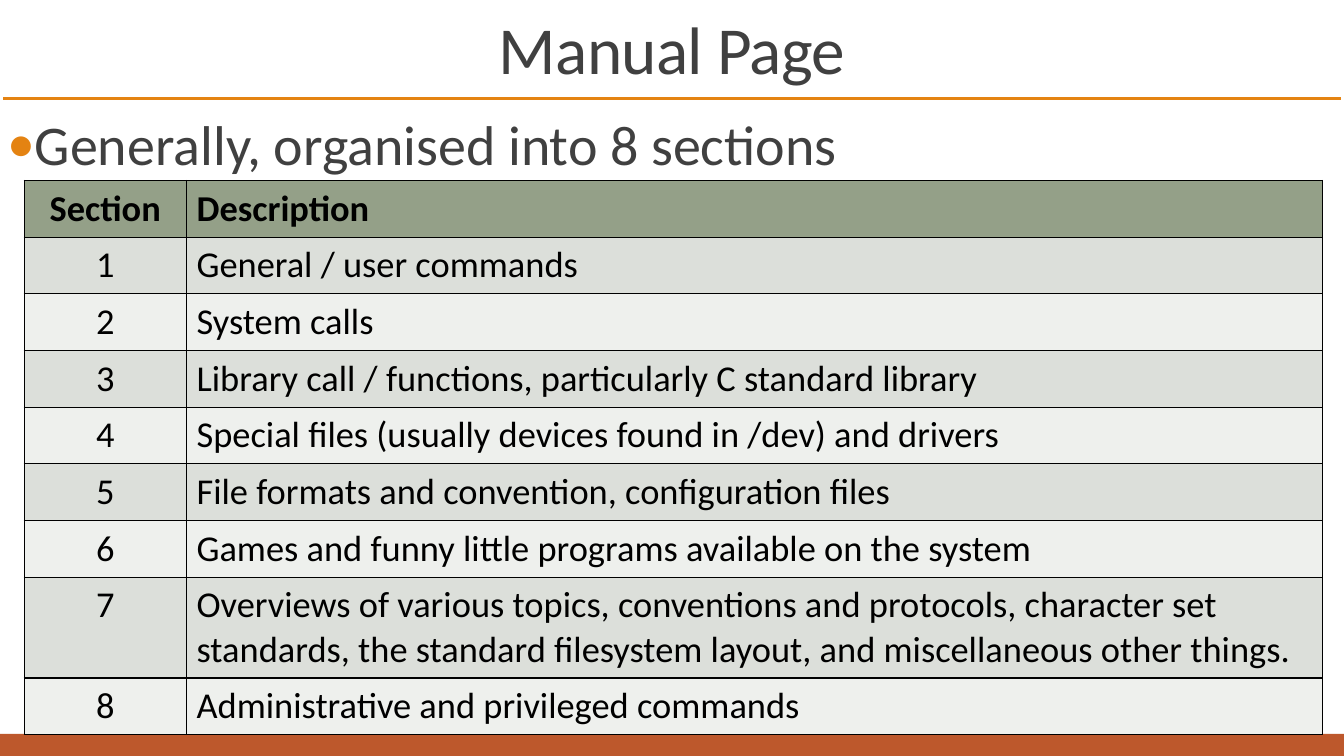
from lxml import etree
from pptx import Presentation, util as u
from pptx.dml.color import RGBColor
from pptx.enum import shapes, text
from pptx.oxml.ns import qn

WIDE, HIGH = 13.33, 7.5
INK, AMBER, RUST, BLACK = "404040", "E48312", "BD582C", "000000"
HEAD, BANDS = "94A088", ("DCDFDA", "EEF0ED")
ROWS = [
    ("Section", "Description"),
    ("1", "General / user commands"),
    ("2", "System calls"),
    ("3", "Library call / functions, particularly C standard library"),
    ("4", "Special files (usually devices found in /dev) and drivers"),
    ("5", "File formats and convention, configuration files"),
    ("6", "Games and funny little programs available on the system"),
    ("7", "Overviews of various topics, conventions and protocols, character set "
          "standards, the standard filesystem layout, and miscellaneous other things."),
    ("8", "Administrative and privileged commands"),
]


def color(code):
    return RGBColor.from_string(code)


def inches(*sizes):
    return [u.Inches(size) for size in sizes]


def sub(node, tag, **attrs):
    return etree.SubElement(node, qn(tag), attrs)


def write(frame, words, size, ink=INK, bold=False, center=False, bullet=None,
          line=None, track=None):
    para = frame.paragraphs[0]
    if bullet:
        props = para._p.get_or_add_pPr()
        props.set("marL", str(u.Inches(0.25)))
        props.set("indent", str(-u.Inches(0.25)))
        sub(sub(props, "a:buClr"), "a:srgbClr", val=bullet)
        sub(props, "a:buFont", typeface="Calibri")
        sub(props, "a:buChar", char="•")
    para.alignment = text.PP_ALIGN.CENTER if center else text.PP_ALIGN.LEFT
    if line:
        para.line_spacing = line
    run = para.add_run()
    run.text = words
    font = run.font
    font.name, font.size, font.bold = "Calibri", u.Pt(size), bold
    font.color.rgb = color(ink)
    if track:
        run._r.get_or_add_rPr().set("spc", str(int(track * 100)))


def label(slide, box, words, size, side=0.1, anchor="TOP", **style):
    frame = slide.shapes.add_textbox(*inches(*box)).text_frame
    frame.word_wrap = True
    frame.margin_left = frame.margin_right = u.Inches(side)
    frame.vertical_anchor = text.MSO_ANCHOR[anchor]
    write(frame, words, size, **style)


def footer(slide, box):
    bar = slide.shapes.add_shape(shapes.MSO_SHAPE.RECTANGLE, *inches(*box))
    bar.shadow.inherit = False
    bar.fill.solid()
    bar.fill.fore_color.rgb = color(RUST)
    bar.line.fill.background()


def header(slide, box):
    left, top, width, height = box
    label(slide, (left, top, width, height - 0.06), "Manual Page", 48,
          anchor="BOTTOM", center=True, line=0.85, track=-0.5)
    base = top + height
    rule = slide.shapes.add_connector(
        shapes.MSO_CONNECTOR.STRAIGHT, *inches(left, base, left + width, base))
    rule.line.color.rgb = color(AMBER)
    rule.line.width = u.Pt(2.25)
    sub(rule._element.spPr, "a:effectLst")


def border(cell):
    props = cell._tc.get_or_add_tcPr()
    for tag in ("a:lnL", "a:lnR", "a:lnT", "a:lnB"):
        edge = sub(props, tag, w=str(u.Pt(1)))
        sub(sub(edge, "a:solidFill"), "a:srgbClr", val=BLACK)


def sections(slide, box):
    left, top, width, height = box
    grid = slide.shapes.add_table(len(ROWS), 2, *inches(*box)).table
    first = width / 8
    for col, size in zip(grid.columns, (first, width - first)):
        col.width = u.Inches(size)
    # The long entry takes two lines; the others share what is left
    tall = 1.0
    short = (height - tall) / (len(ROWS) - 1)
    for r, row in enumerate(ROWS):
        grid.rows[r].height = u.Inches(tall if len(row[1]) > 80 else short)
        for c, words in enumerate(row):
            cell = grid.cell(r, c)
            cell.margin_left = cell.margin_right = u.Inches(0.1)
            cell.margin_top = cell.margin_bottom = u.Inches(0.06)
            border(cell)
            cell.fill.solid()
            cell.fill.fore_color.rgb = color(BANDS[(r - 1) % 2] if r else HEAD)
            write(cell.text_frame, words, 26, ink=BLACK, bold=r == 0, center=c == 0)


def main():
    deck = Presentation()
    deck.slide_width, deck.slide_height = inches(WIDE, HIGH)
    slide = deck.slides.add_slide(deck.slide_layouts[6])
    footer(slide, (0, HIGH - 0.22, WIDE, 0.22))
    header(slide, (0.03, 0.04, WIDE - 0.06, 0.94))
    label(slide, (0.07, 1.04, 13.2, 0.75), "Generally, organised into 8 sections",
          40, side=0, bullet=AMBER)
    sections(slide, (0.24, 1.79, 12.88, 5.5))
    deck.save("out.pptx")


if __name__ == "__main__":
    main()
